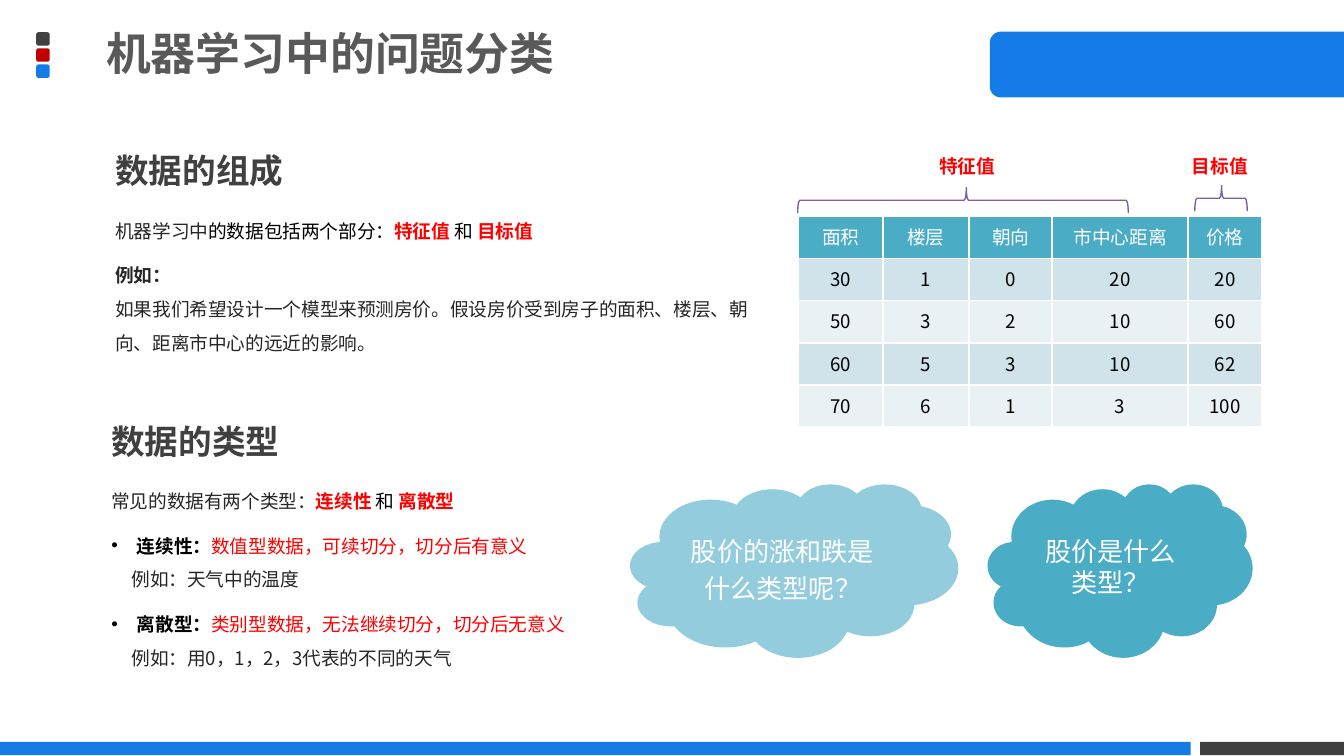
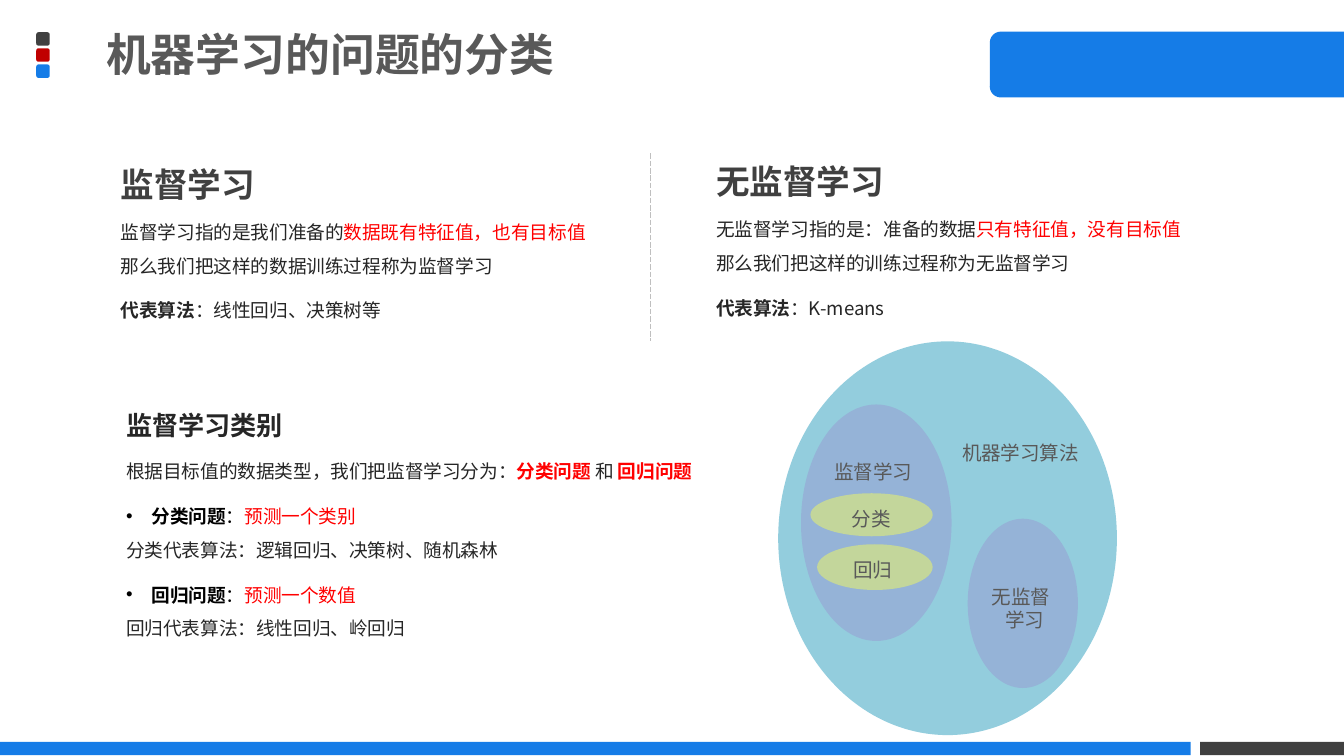
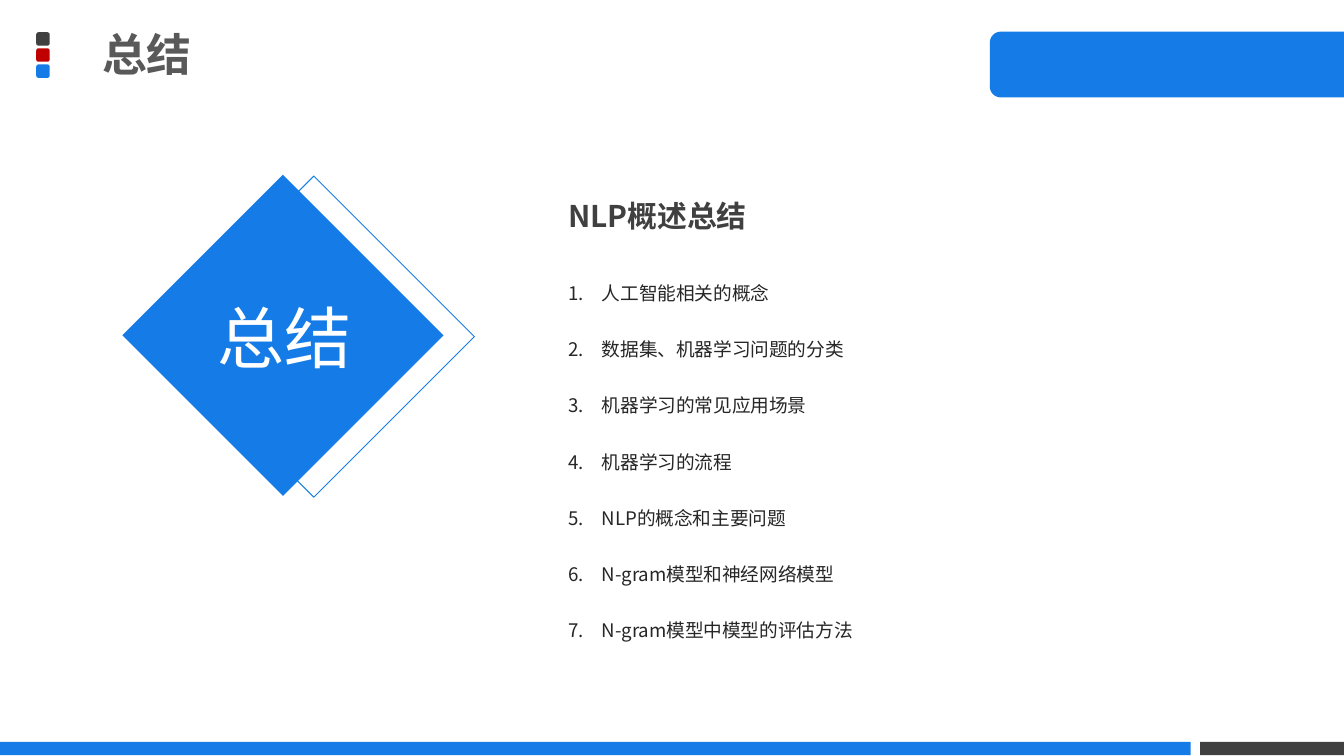
from dataclasses import dataclass
from typing import NamedTuple, Optional, Union

from lxml.etree import SubElement
from pptx import Presentation
from pptx.dml.color import RGBColor
from pptx.enum.dml import MSO_LINE
from pptx.enum.shapes import MSO_CONNECTOR, MSO_SHAPE
from pptx.enum.text import MSO_ANCHOR, MSO_AUTO_SIZE, PP_ALIGN
from pptx.oxml.ns import qn
from pptx.shapes.autoshape import Shape
from pptx.shapes.shapetree import GroupShapes, SlideShapes
from pptx.slide import Slide, SlideLayout
from pptx.text.text import Font, TextFrame
from pptx.util import Emu, Pt

EMU_PER_PX = 9144
SLIDE_WIDTH = 1000

BLUE = RGBColor(0x15, 0x7C, 0xE7)
CRIMSON = RGBColor(0xC0, 0x00, 0x00)
CHARCOAL = RGBColor(0x40, 0x40, 0x40)
TITLE_GRAY = RGBColor(0x59, 0x59, 0x59)
INK = RGBColor(0x26, 0x26, 0x26)
BLACK = RGBColor(0x00, 0x00, 0x00)
RED = RGBColor(0xFF, 0x00, 0x00)
WHITE = RGBColor(0xFF, 0xFF, 0xFF)
DIVIDER_GRAY = RGBColor(0xBF, 0xBF, 0xBF)
TEAL = RGBColor(0x4B, 0xAC, 0xC6)
PALE_TEAL = RGBColor(0x93, 0xCD, 0xDD)
PERIWINKLE = RGBColor(0x95, 0xB3, 0xD7)
LIME = RGBColor(0xC3, 0xD6, 0x9B)
PURPLE = RGBColor(0x7D, 0x60, 0xA0)
ROW_BANDS = (RGBColor(0xD0, 0xE3, 0xEA), RGBColor(0xE9, 0xF1, 0xF5))

SANS = "Noto Sans CJK SC"
LATIN = "Calibri"

Shapes = Union[SlideShapes, GroupShapes]


class Box(NamedTuple):
    left: int
    top: int
    width: int
    height: int


class Span(NamedTuple):
    text: str
    color: RGBColor = INK
    bold: bool = False
    face: str = SANS


class Bullet(NamedTuple):
    tag: str
    attribute: str
    value: str
    hang: int


DOT = Bullet("a:buChar", "char", "•", 19)
NUMBER = Bullet("a:buAutoNum", "type", "arabicPeriod", 25)


@dataclass(frozen=True)
class Para:
    spans: tuple[Span, ...]
    size: float = 10
    spacing: float = 1.5
    after: int = 0
    align: PP_ALIGN = PP_ALIGN.LEFT
    bullet: Optional[Bullet] = None
    indent: int = 0


@dataclass(frozen=True)
class Piece:
    kind: MSO_SHAPE
    box: Box
    fill: Optional[RGBColor] = None
    line: Optional[RGBColor] = None
    line_width: float = 0.75
    rotation: int = 0


def px(length: int) -> Emu:
    return Emu(length * EMU_PER_PX)


def place(box: Box) -> tuple[Emu, ...]:
    return tuple(px(length) for length in box)


def style_font(font: Font, span: Span) -> None:
    font.name = span.face
    font.bold = span.bold
    font.color.rgb = span.color


def set_east_asian(font_element) -> None:
    SubElement(font_element, qn("a:ea")).set("typeface", SANS)


def write(frame: TextFrame, paras: list[Para]) -> None:
    for index, para in enumerate(paras):
        paragraph = frame.add_paragraph() if index else frame.paragraphs[0]
        properties = paragraph._p.get_or_add_pPr()
        if para.bullet:
            properties.set("marL", str(px(para.bullet.hang)))
            properties.set("indent", str(-px(para.bullet.hang)))
            if para.bullet is DOT:
                SubElement(properties, qn("a:buFont")).set("typeface", "Arial")
            mark = SubElement(properties, qn(para.bullet.tag))
            mark.set(para.bullet.attribute, para.bullet.value)
        elif para.indent:
            properties.set("marL", str(px(para.indent)))
            properties.set("indent", "0")
        paragraph.alignment = para.align
        paragraph.line_spacing = para.spacing
        paragraph.space_before = Pt(0)
        paragraph.space_after = Pt(para.after)
        paragraph.font.size = Pt(para.size)
        uniform = len({span[1:] for span in para.spans}) == 1
        if uniform:
            style_font(paragraph.font, para.spans[0])
        else:
            paragraph.font.name = SANS
        set_east_asian(properties.find(qn("a:defRPr")))
        for span in para.spans:
            run = paragraph.add_run()
            run.text = span.text
            if not uniform:
                style_font(run.font, span)
                set_east_asian(run._r.get_or_add_rPr())


def add_text(shapes: Shapes, box: Box, paras: list[Para], wrap: bool = True,
             grow: bool = True) -> TextFrame:
    frame = shapes.add_textbox(*place(box)).text_frame
    frame.word_wrap = wrap
    frame.auto_size = MSO_AUTO_SIZE.SHAPE_TO_FIT_TEXT if grow else MSO_AUTO_SIZE.NONE
    write(frame, paras)
    return frame


def add_heading(shapes: Shapes, box: Box, text: str, size: int = 18,
                color: RGBColor = CHARCOAL, spacing: float = 1.5) -> None:
    add_text(shapes, box, [Para((Span(text, color, True),), size, spacing)])


def add_piece(shapes: Shapes, piece: Piece) -> Shape:
    shape = shapes.add_shape(piece.kind, *place(piece.box))
    shape.shadow.inherit = False
    shape.rotation = piece.rotation
    if piece.fill is None:
        shape.fill.background()
    else:
        shape.fill.solid()
        shape.fill.fore_color.rgb = piece.fill
    if piece.line is None:
        shape.line.fill.background()
    else:
        shape.line.color.rgb = piece.line
        shape.line.width = Pt(piece.line_width)
    return shape


def add_cloud(shapes: Shapes, box: Box, fill: RGBColor, spacing: float,
              spans: tuple[Span, ...]) -> None:
    frame = add_piece(shapes, Piece(MSO_SHAPE.CLOUD, box, fill)).text_frame
    frame.word_wrap = True
    frame.vertical_anchor = MSO_ANCHOR.MIDDLE
    write(frame, [Para(spans, 14, spacing, align=PP_ALIGN.CENTER)])


def set_margins(frame: TextFrame, across: int, down: int) -> None:
    frame.margin_left = frame.margin_right = px(across)
    frame.margin_top = frame.margin_bottom = px(down)


def add_title(slide: Slide, box: Box, text: str) -> TextFrame:
    title = slide.shapes.title
    title.left, title.top, title.width, title.height = place(box)
    frame = title.text_frame
    frame.word_wrap = True
    frame.auto_size = MSO_AUTO_SIZE.NONE
    frame.vertical_anchor = MSO_ANCHOR.MIDDLE
    write(frame, [Para((Span(text, TITLE_GRAY, True),), 24, 0.9)])
    return frame


def dress_layout(layout: SlideLayout, slide: Slide) -> None:
    for placeholder in list(layout.placeholders)[1:]:
        placeholder.element.getparent().remove(placeholder.element)
    squares = [
        Piece(MSO_SHAPE.ROUNDED_RECTANGLE, Box(27, 24 + 12 * step, 10, 10), color)
        for step, color in enumerate((CHARCOAL, CRIMSON, BLUE))
    ]
    frame_pieces = [
        Piece(MSO_SHAPE.ROUND_2_SAME_RECTANGLE, Box(844, -84, 49, 264), BLUE, rotation=270),
        *squares,
        Piece(MSO_SHAPE.RECTANGLE, Box(893, 552, 107, 10), CHARCOAL),
        Piece(MSO_SHAPE.RECTANGLE, Box(0, 552, 886, 10), BLUE),
    ]
    layout_tree = layout.placeholders[0].element.getparent()
    for piece in frame_pieces:
        layout_tree.append(add_piece(slide.shapes, piece).element)


def add_house_table(shapes: Shapes) -> None:
    houses = [
        ("面积", "楼层", "朝向", "市中心距离", "价格"),
        (30, 1, 0, 20, 20),
        (50, 3, 2, 10, 60),
        (60, 5, 3, 10, 62),
        (70, 6, 1, 3, 100),
    ]
    widths = (63, 64, 62, 101, 55)
    box = Box(594, 161, sum(widths), 157)
    table = shapes.add_table(len(houses), len(widths), *place(box)).table
    for column, width in zip(table.columns, widths):
        column.width = px(width)
    for row, house in enumerate(houses):
        header = row == 0
        for column, value in enumerate(house):
            cell = table.cell(row, column)
            cell.fill.solid()
            cell.fill.fore_color.rgb = TEAL if header else ROW_BANDS[(row - 1) % 2]
            span = Span(str(value), WHITE if header else BLACK)
            write(cell.text_frame, [Para((span,), spacing=1.0, align=PP_ALIGN.CENTER)])


def build_data_slide(slide: Slide) -> None:
    shapes = slide.shapes
    add_title(slide, Box(69, -3, 589, 89), "机器学习中的问题分类")
    add_heading(shapes, Box(76, 92, 384, 50), "数据的组成")
    add_text(shapes, Box(76, 150, 495, 119), [
        Para((Span("机器学习中"), Span("的数据包括两个部分：", BLACK), Span("特征值 ", RED, True),
              Span("和 ", BLACK), Span("目标值", RED, True)), after=6),
        Para((Span("例如：", bold=True),)),
        Para((Span("如果我们希望设计一个模型来预测房价。假设房价受到房子的面积、楼层、"
                   "朝向、距离市中心的远近的影响。"),)),
    ])
    add_house_table(shapes)
    add_heading(shapes, Box(73, 293, 384, 50), "数据的类型")
    add_text(shapes, Box(73, 351, 411, 153), [
        Para((Span("常见的数据有两个类型："), Span("连续性 ", RED, True),
              Span("和 ", BLACK), Span("离散型", RED, True)), after=6),
        Para((Span("连续性：", BLACK, True), Span("数值型数据，可续切分，切分后有意义", RED)),
             bullet=DOT),
        Para((Span("例如：天气中的温度"),), after=6, indent=15),
        Para((Span("离散型：", BLACK, True), Span("类别型数据，无法继续切分，切分后无意义", RED)),
             bullet=DOT),
        Para((Span("例如：用0，1，2，3代表的不同的天气"),), indent=15),
    ])
    add_cloud(shapes, Box(469, 360, 244, 129), PALE_TEAL, 1.2,
              (Span("股价的涨和跌是什么类型呢", WHITE), Span("？", WHITE, face=LATIN)))
    add_cloud(shapes, Box(735, 360, 197, 129), TEAL, 1.0, (Span("股价是什么类型？", WHITE),))
    for label, label_left, brace_box in (
        ("特征值", 689, Box(707, 26, 19, 246)),
        ("目标值", 877, Box(899, 128, 19, 39)),
    ):
        brace = add_piece(shapes, Piece(MSO_SHAPE.LEFT_BRACE, brace_box, line=PURPLE, rotation=90))
        brace.adjustments[1] = 0.49
        add_text(shapes, Box(label_left, 110, 62, 27),
                 [Para((Span(label, RED, True),), spacing=1.0)], wrap=False)


def add_algorithm_map(shapes: Shapes) -> None:
    algorithm_map = shapes.add_group_shape().shapes
    for box, fill in (
        (Box(579, 254, 252, 293), PALE_TEAL),
        (Box(720, 386, 82, 126), PERIWINKLE),
        (Box(596, 301, 112, 176), PERIWINKLE),
        (Box(608, 405, 86, 34), LIME),
        (Box(603, 367, 91, 32), LIME),
    ):
        add_piece(algorithm_map, Piece(MSO_SHAPE.OVAL, box, fill))
    for box, lines in (
        (Box(706, 323, 109, 24), ("机器学习算法",)),
        (Box(728, 430, 64, 40), ("无监督", "学习")),
        (Box(611, 337, 79, 24), ("监督学习",)),
        (Box(624, 372, 50, 24), ("分类",)),
        (Box(625, 410, 50, 24), ("回归",)),
    ):
        add_text(algorithm_map, box, [
            Para((Span(line, TITLE_GRAY, face=LATIN),), 10.5, 1.0, indent=10 * index)
            for index, line in enumerate(lines)
        ], wrap=False)


def build_learning_slide(slide: Slide) -> None:
    shapes = slide.shapes
    divider = shapes.add_connector(MSO_CONNECTOR.STRAIGHT, px(484), px(114), px(484), px(254))
    divider.line.color.rgb = DIVIDER_GRAY
    divider.line.width = Pt(1)
    divider.line.dash_style = MSO_LINE.SQUARE_DOT
    SubElement(divider.element.spPr, qn("a:effectLst"))
    add_title(slide, Box(69, -2, 589, 89), "机器学习的问题的分类")
    for left, top, width, name, meaning, trait, outcome, algorithms in (
        (80, 102, 384, "监督学习", "监督学习指的是我们准备的", "数据既有特征值，也有目标值",
         "那么我们把这样的数据训练过程称为监督学习", "：线性回归、决策树等"),
        (523, 100, 410, "无监督学习", "无监督学习指的是：准备的数据", "只有特征值，没有目标值",
         "那么我们把这样的训练过程称为无监督学习", "：K-means"),
    ):
        add_heading(shapes, Box(left, top, width, 50), name)
        add_text(shapes, Box(left, top + 49, width, 94), [
            Para((Span(meaning), Span(trait, RED))),
            Para((Span(outcome),), after=6),
            Para((Span("代表算法", bold=True), Span(algorithms))),
        ])
    add_heading(shapes, Box(84, 288, 384, 41), "监督学习类别", 14, INK)
    add_text(shapes, Box(84, 329, 460, 153), [
        Para((Span("根据目标值的数据类型，我们把监督学习分为："), Span("分类问题 ", RED, True),
              Span("和 "), Span("回归问题", RED, True)), after=6),
        Para((Span("分类问题", BLACK, True), Span("：", BLACK), Span("预测一个类别", RED)),
             bullet=DOT),
        Para((Span("分类代表算法：逻辑回归、决策树、随机森林"),), after=6),
        Para((Span("回归问题", BLACK, True), Span("：", BLACK), Span("预测一个数值", RED)),
             bullet=DOT),
        Para((Span("回归代表算法：线性回归、岭回归"),)),
    ])
    add_algorithm_map(shapes)


def build_summary_slide(slide: Slide) -> None:
    shapes = slide.shapes
    set_margins(add_title(slide, Box(69, -2, 431, 89), "总结"), 7, 4)
    add_piece(shapes, Piece(MSO_SHAPE.RECTANGLE, Box(149, 166, 169, 169), line=BLUE,
                            line_width=0.5, rotation=45))
    add_piece(shapes, Piece(MSO_SHAPE.RECTANGLE, Box(126, 165, 169, 169), BLUE, rotation=45))
    emblem = add_text(shapes, Box(2, 210, 419, 89),
                      [Para((Span("总结", WHITE),), 36, 0.9, align=PP_ALIGN.CENTER)], grow=False)
    emblem.vertical_anchor = MSO_ANCHOR.MIDDLE
    set_margins(emblem, 7, 4)
    topics = (
        "人工智能相关的概念",
        "数据集、机器学习问题的分类",
        "机器学习的常见应用场景",
        "机器学习的流程",
        "NLP的概念和主要问题",
        "N-gram模型和神经网络模型",
        "N-gram模型中模型的评估方法",
    )
    add_text(shapes, Box(413, 180, 410, 297),
             [Para((Span(topic),), spacing=2.5, bullet=NUMBER) for topic in topics])
    add_heading(shapes, Box(413, 142, 386, 37), "NLP概述总结", 16, spacing=1.0)


def main() -> None:
    deck = Presentation()
    deck.slide_width = px(SLIDE_WIDTH)
    deck.slide_height = Emu(px(SLIDE_WIDTH) * 9 // 16)
    title_only = deck.slide_layouts[5]
    builders = (build_data_slide, build_learning_slide, build_summary_slide)
    for index, build in enumerate(builders):
        slide = deck.slides.add_slide(title_only)
        if index == 0:
            dress_layout(title_only, slide)
        build(slide)
    deck.save("out.pptx")


if __name__ == "__main__":
    main()
